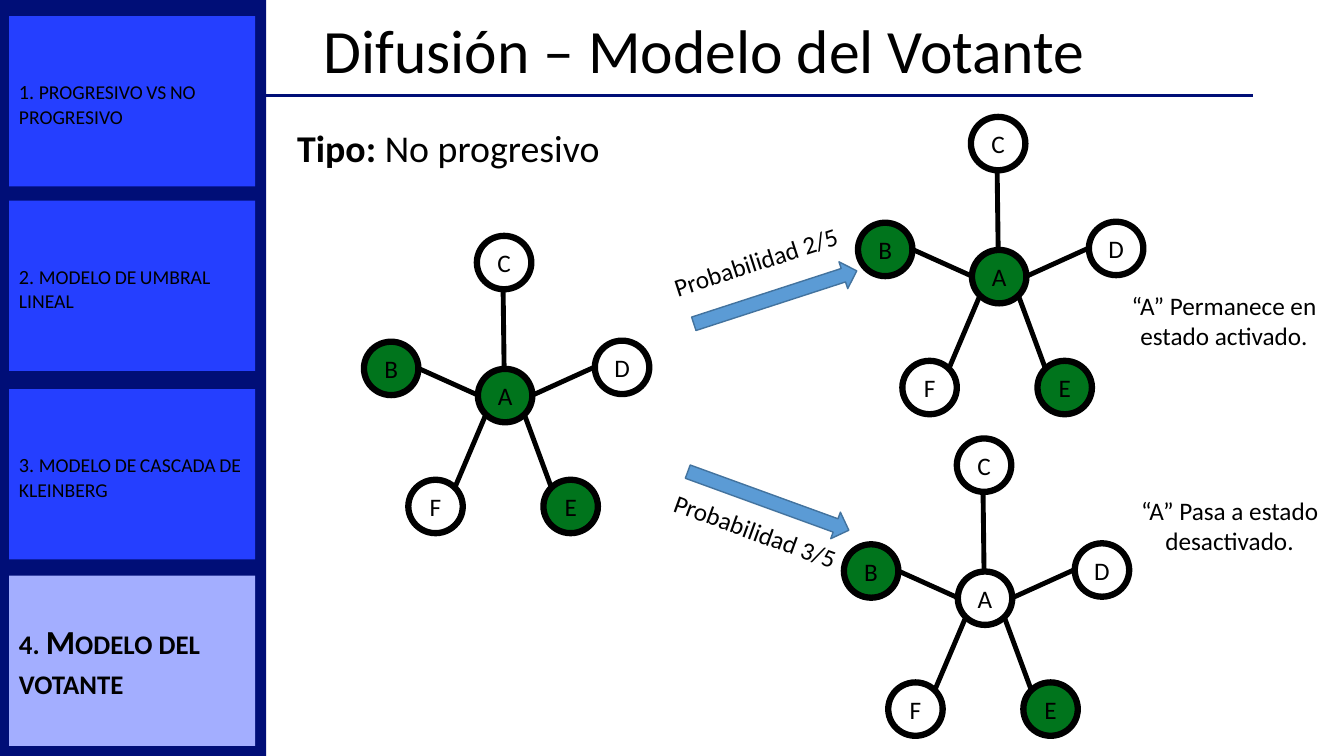
from lxml import etree
from pptx import Presentation
from pptx.dml.color import RGBColor
from pptx.enum.shapes import MSO_CONNECTOR as CONNECTOR, MSO_SHAPE as SHAPE
from pptx.enum.text import MSO_ANCHOR as ANCHOR, PP_ALIGN as ALIGN
from pptx.oxml.ns import qn
from pptx.util import Inches, Pt

BLACK = RGBColor(0x00, 0x00, 0x00)
WHITE = RGBColor(0xFF, 0xFF, 0xFF)
NAVY = RGBColor(0x00, 0x0E, 0x77)
BLUE = RGBColor(0x25, 0x3F, 0xFF)
LILAC = RGBColor(0xA3, 0xAE, 0xFF)
GREEN = RGBColor(0x00, 0x74, 0x1C)
ARROW_BLUE = RGBColor(0x5B, 0x9B, 0xD5)
ARROW_EDGE = RGBColor(0x43, 0x73, 0x9E)
FONT = "Calibri"

# Content: runs are (text, size, bold)
TITLE = [("Difusión – Modelo del Votante", 44, False)]
MODEL_TYPE = [("Tipo: ", 27, True), ("No progresivo", 27, False)]
MENU = [  # top, fill, runs
    (0.16, BLUE, [("1. ", 18, False), ("PROGRESIVO VS NO PROGRESIVO ", 14, False)]),
    (1.99, BLUE, [("2. ", 18, False), ("MODELO DE UMBRAL LINEAL ", 14, False)]),
    (3.86, BLUE, [("3. ", 18, False), ("MODELO DE CASCADA DE KLEINBERG", 14, False)]),
    (5.71, LILAC, [("4. Modelo del votante", 24, True)]),
]
NETWORKS = [  # left and top of node A, active nodes
    (4.74, 3.66, "ABE"),
    (9.64, 2.48, "ABE"),
    (9.5, 5.67, "BE"),
]
TRANSITIONS = [  # arrow left and top, label, label box, rotation
    (6.84, 2.81, "Probabilidad 2/5 ", (6.55, 2.38, 1.97, 0.4), 342),
    (6.77, 4.83, "Probabilidad 3/5", (6.55, 5.07, 1.91, 0.4), 20),
]
OUTCOMES = [
    ("“A” Permanece en estado activado.", (10.97, 2.83, 2.34, 0.71)),
    ("“A” Pasa a estado desactivado.", (11, 4.86, 2.39, 0.71)),
]

# Star network, measured from the top left of node A
NODE_SIZE = (0.54, 0.53)
NODES = {"A": (0, 0), "B": (-1.13, -0.27), "C": (-0.01, -1.32),
         "D": (1.16, -0.28), "E": (0.65, 1.1), "F": (-0.69, 1.1)}
EDGES = [(0, 0.26, -0.6, -0.01), (0.26, 0, 0.25, -0.79), (0.52, 0.27, 1.16, -0.02),
         (0.46, 0.45, 0.73, 1.18), (0.08, 0.45, -0.23, 1.18)]

deck = Presentation()
deck.slide_width, deck.slide_height = Inches(13.33), Inches(7.5)
slide = deck.slides.add_slide(deck.slide_layouts[6])


def write(frame, runs, align=ALIGN.LEFT, small_caps=False, outlined=False):
    paragraph = frame.paragraphs[0]
    paragraph.alignment = align
    for text, size, bold in runs:
        run = paragraph.add_run()
        run.text = text
        font = run.font
        font.name, font.size, font.bold = FONT, Pt(size), bold
        font.color.rgb = BLACK
        properties = run._r.get_or_add_rPr()
        if small_caps:
            properties.set("cap", "small")
        if outlined:
            outline = etree.Element(qn("a:ln"), w=str(Pt(0.75)))
            fill = etree.SubElement(outline, qn("a:solidFill"))
            etree.SubElement(fill, qn("a:srgbClr"), val=str(BLACK))
            properties.insert(0, outline)
    return paragraph


def add_text(box, runs, align=ALIGN.LEFT, wrap=True, rotation=0):
    label = slide.shapes.add_textbox(*map(Inches, box))
    label.rotation = rotation
    label.text_frame.word_wrap = wrap
    write(label.text_frame, runs, align)
    return label.text_frame


def add_block(kind, box, fill, edge=None, width=0):
    block = slide.shapes.add_shape(kind, *map(Inches, box))
    block.shadow.inherit = False
    block.fill.solid()
    block.fill.fore_color.rgb = fill
    if edge is None:
        block.line.fill.background()
    else:
        block.line.color.rgb = edge
        block.line.width = Pt(width)
    block.text_frame.vertical_anchor = ANCHOR.MIDDLE
    return block


def add_line(ends, color, width):
    line = slide.shapes.add_connector(CONNECTOR.STRAIGHT, *map(Inches, ends))
    line.line.color.rgb = color
    line.line.width = Pt(width)
    etree.SubElement(line._element.spPr, qn("a:effectLst"))


# Side band, header rule and title
add_block(SHAPE.RECTANGLE, (-0.01, 0, 2.65, 7.5), NAVY)
add_line((2.62, 0.95, 12.43, 0.95), NAVY, 2.25)
title_frame = add_text((3.11, 0, 9.47, 1.06), TITLE)
title_frame.vertical_anchor = ANCHOR.MIDDLE
title_frame.paragraphs[0].line_spacing = 0.9

# Networks
for a_left, a_top, active in NETWORKS:
    for x1, y1, x2, y2 in EDGES:
        add_line((a_left + x1, a_top + y1, a_left + x2, a_top + y2), BLACK, 3.5)
    for letter, (dx, dy) in NODES.items():
        node = add_block(SHAPE.OVAL, (a_left + dx, a_top + dy, *NODE_SIZE),
                         GREEN if letter in active else WHITE, BLACK, 4.5)
        write(node.text_frame, [(letter, 18, False)], ALIGN.CENTER, outlined=True)

# Transitions and their outcomes
for left, top, probability, label_box, angle in TRANSITIONS:
    arrow = add_block(SHAPE.RIGHT_ARROW, (left, top, 1.7, 0.28), ARROW_BLUE, ARROW_EDGE, 1)
    arrow.rotation = angle
    add_text(label_box, [(probability, 18, False)], wrap=False, rotation=angle)
for outcome, outcome_box in OUTCOMES:
    add_text(outcome_box, [(outcome, 18, False)], ALIGN.CENTER)
add_text((2.85, 1.19, 3.23, 0.56), MODEL_TYPE, wrap=False)

# Section menu
for top, fill, runs in MENU:
    section = add_block(SHAPE.RECTANGLE, (0.09, top, 2.44, 1.69), fill)
    section.text_frame.word_wrap = True
    write(section.text_frame, runs, small_caps=True)

deck.save("out.pptx")
